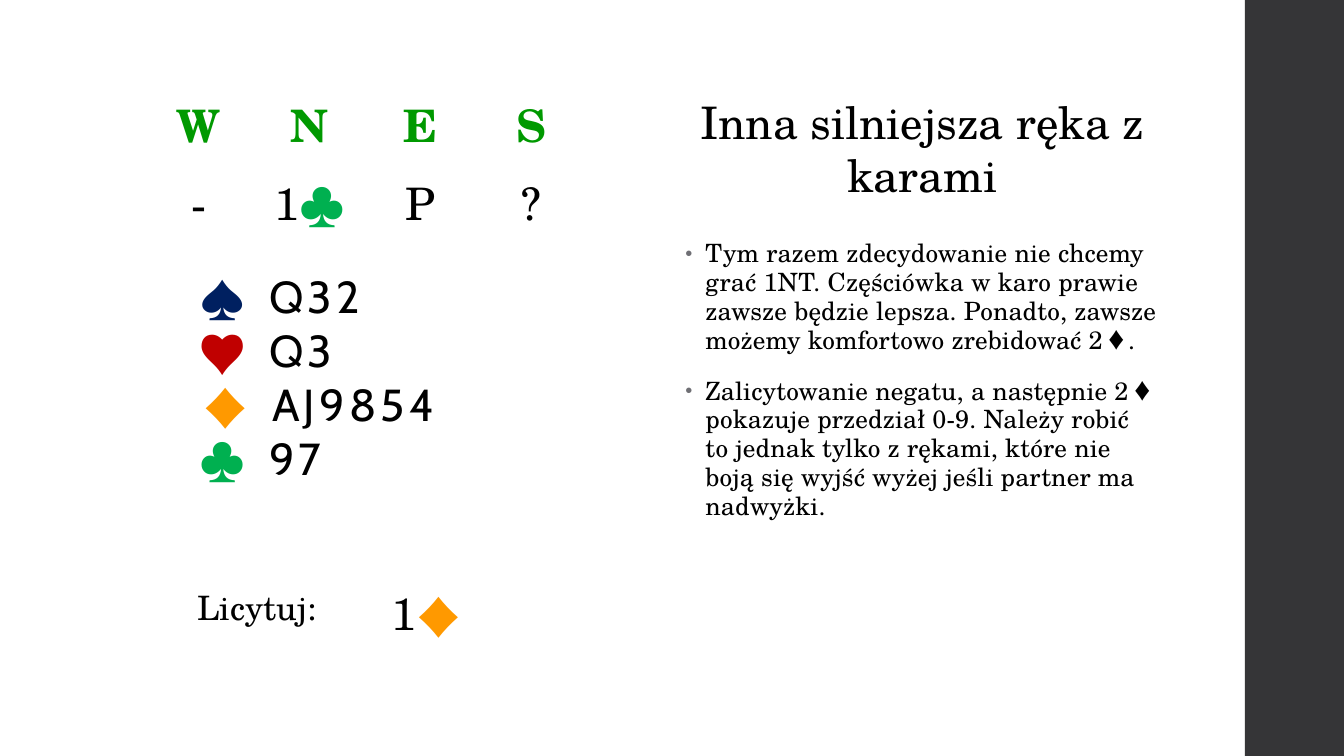
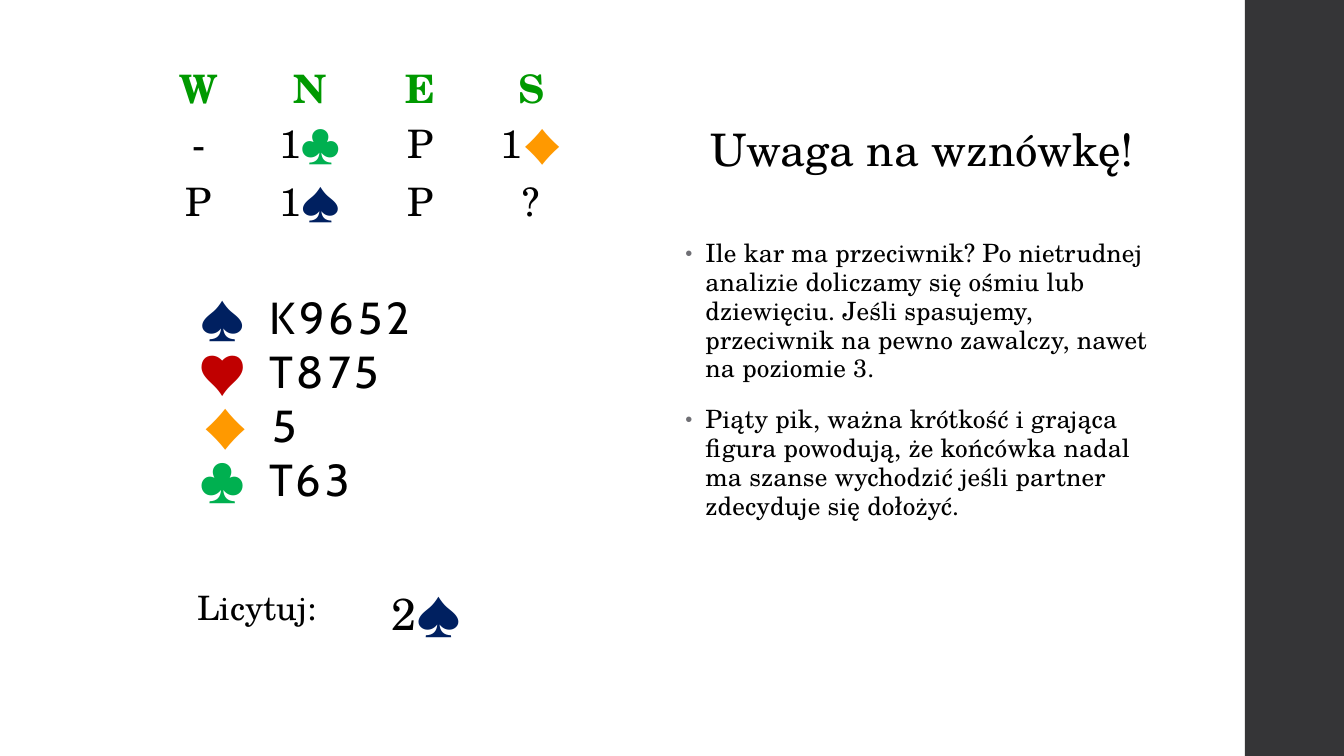
from lxml import etree
from pptx import Presentation
from pptx.dml.color import RGBColor
from pptx.enum.shapes import MSO_SHAPE as Shape
from pptx.enum.text import MSO_ANCHOR as Anchor, PP_ALIGN as Align
from pptx.oxml.ns import qn
from pptx.util import Inches, Pt

WIDTH, HEIGHT = Inches(13.33), Inches(7.5)
SERIF, SANS = "TeX Gyre Schola", "Cabin"
BLACK = RGBColor(0x00, 0x00, 0x00)
RAIL = RGBColor(0x35, 0x35, 0x37)
HEADER = RGBColor(0x00, 0x99, 0x00)
BULLET = RGBColor(0x6F, 0x6F, 0x74)
SUITS = {
    "♠": RGBColor(0x00, 0x20, 0x60),
    "♥": RGBColor(0xC0, 0x00, 0x00),
    "♦": RGBColor(0xFF, 0x99, 0x00),
    "♣": RGBColor(0x00, 0xB0, 0x50),
}
SEATS = ["W", "N", "E", "S"]
TEXT_LEFT, TEXT_WIDTH = 50.25, 36.75
SEAT_WIDTH, ROW_HEIGHT = 8.25, 5.47

PROBLEMS = [
    dict(
        title="Inna silniejsza ręka z karami",
        calls=[["-", "1♣", "P", "?"]],
        call_size=32, auction_top=11.2, hand_top=34.93,
        hand=["Q32", "Q3", "AJ9854", "97"],
        answer="1♦",
        notes=[
            "Tym razem zdecydowanie nie chcemy grać 1NT. Częściówka w karo prawie "
            "zawsze będzie lepsza. Ponadto, zawsze możemy komfortowo zrebidować 2♦.",
            "Zalicytowanie negatu, a następnie 2♦ pokazuje przedział 0-9. Należy "
            "robić to jednak tylko z rękami, które nie boją się wyjść wyżej jeśli "
            "partner ma nadwyżki.",
        ],
    ),
    dict(
        title="Uwaga na wznówkę!",
        calls=[["-", "1♣", "P", "1♦"], ["P", "1♠", "P", "?"]],
        call_size=28, auction_top=6.93, hand_top=37.73,
        hand=["K9652", "T875", "5", "T63"],
        answer="2♠",
        notes=[
            "Ile kar ma przeciwnik? Po nietrudnej analizie doliczamy się ośmiu lub "
            "dziewięciu. Jeśli spasujemy, przeciwnik na pewno zawalczy, nawet na "
            "poziomie 3.",
            "Piąty pik, ważna krótkość i grająca figura powodują, że końcówka nadal "
            "ma szanse wychodzić jeśli partner zdecyduje się dołożyć.",
        ],
    ),
]


def across(percent):
    """Return a percentage of the slide's width."""
    return int(WIDTH * percent / 100)


def down(percent):
    """Return a percentage of the slide's height."""
    return int(HEIGHT * percent / 100)


def area(left, top, width, height):
    """Return a rectangle given in percentages of the slide."""
    return across(left), down(top), across(width), down(height)


def set_font(target, size, name=SERIF, color=BLACK, bold=False):
    """Set the font of a paragraph."""
    font = target.font
    font.size, font.name, font.bold = Pt(size), name, bold
    font.color.rgb = color


def add_run(para, text, spacing=0):
    """Append a run with letter spacing in points."""
    run = para.add_run()
    run.text = text
    if spacing:
        run._r.get_or_add_rPr().set("spc", str(int(spacing * 100)))
    return run


def add_call(para, call):
    """Write a call, giving each suit symbol its own colour."""
    for sign in call:
        if sign in SUITS:
            run = add_run(para, sign, 3)
            run.font.name = SANS
            run.font.color.rgb = SUITS[sign]
        else:
            add_run(para, sign)


def add_rail(page):
    """Draw the dark band at the right edge."""
    rail = page.shapes.add_shape(Shape.RECTANGLE, *area(92.63, 0, 7.37, 100))
    rail.shadow.inherit = False
    rail.fill.solid()
    rail.fill.fore_color.rgb = RAIL
    rail.line.fill.background()


def add_box(page, *place):
    """Add a wrapping text box and return its frame."""
    frame = page.shapes.add_textbox(*area(*place)).text_frame
    frame.word_wrap = True
    return frame


def paragraphs(frame, count):
    """Return the given number of paragraphs of a frame."""
    return [frame.paragraphs[0]] + [frame.add_paragraph() for _ in range(count - 1)]


def add_title(page, title):
    """Add the centred title."""
    frame = add_box(page, TEXT_LEFT, 11.73, TEXT_WIDTH, 15.73)
    frame.vertical_anchor = Anchor.MIDDLE
    para = frame.paragraphs[0]
    para.alignment = Align.CENTER
    set_font(para, 32)
    add_run(para, title)


def add_bullet(para):
    """Give a paragraph a hanging grey bullet."""
    props = para._p.get_or_add_pPr()
    props.set("marL", str(Inches(0.2)))
    props.set("indent", str(-Inches(0.2)))
    color = etree.SubElement(props, qn("a:buClr"))
    etree.SubElement(color, qn("a:srgbClr"), val=str(BULLET))
    etree.SubElement(props, qn("a:buSzPct"), val="80000")
    etree.SubElement(props, qn("a:buFont"), typeface="Arial")
    etree.SubElement(props, qn("a:buChar"), char="•")


def add_notes(page, notes):
    """Add the bulleted commentary."""
    frame = add_box(page, TEXT_LEFT, 31.07, TEXT_WIDTH, 60.13)
    for index, (para, note) in enumerate(zip(paragraphs(frame, len(notes)), notes)):
        add_bullet(para)
        set_font(para, 18)
        para.line_spacing = 0.95
        para.space_before = Pt(14 if index else 0)
        para.space_after = Pt(2)
        add_run(para, note, 0.1)


def add_tabs(para):
    """Set the tab stops for the suit symbol and its cards."""
    stops = etree.SubElement(para._p.get_or_add_pPr(), qn("a:tabLst"))
    for position, side in ((0.5, "r"), (0.7, "l")):
        etree.SubElement(stops, qn("a:tab"), pos=str(Inches(position)), algn=side)


def add_hand(page, top, hand):
    """List the cards held in each suit."""
    frame = add_box(page, 14.03, top, 26.17, 30.13)
    for para, suit, cards in zip(paragraphs(frame, len(SUITS)), SUITS, hand):
        add_tabs(para)
        if suit == "♦":
            para._p.get_or_add_pPr().set("marL", str(Inches(0.03)))
        set_font(para, 32, SANS)
        add_run(para, "\t", 3)
        add_run(para, suit + "\t", 3).font.color.rgb = SUITS[suit]
        add_run(para, cards, 3)


def add_grid(page, left, top, widths, row_count):
    """Add a plain table with the given column widths."""
    place = area(left, top, sum(widths), ROW_HEIGHT * row_count)
    table = page.shapes.add_table(row_count, len(widths), *place).table
    table.first_row = table.horz_banding = False
    for column, width in zip(table.columns, widths):
        column.width = across(width)
    return table


def fill_cell(cell, call, size, color=BLACK, bold=False, align=Align.CENTER):
    """Write a call into a transparent cell."""
    cell.fill.background()
    cell.vertical_anchor = Anchor.MIDDLE
    para = cell.text_frame.paragraphs[0]
    para.alignment = align
    set_font(para, size, color=color, bold=bold)
    add_call(para, call)


def add_auction(page, top, calls, size):
    """Add the bidding under the four seats."""
    rows = [SEATS] + calls
    table = add_grid(page, 10.65, top, [SEAT_WIDTH] * len(SEATS), len(rows))
    for row, texts in enumerate(rows):
        color = BLACK if row else HEADER
        for column, text in enumerate(texts):
            fill_cell(table.cell(row, column), text, size, color, row == 0)


def add_answer(page, answer):
    """Add the recommended call."""
    table = add_grid(page, 9.9, 76, [18.45, 11.85], 1)
    fill_cell(table.cell(0, 0), "Licytuj:", 24)
    fill_cell(table.cell(0, 1), answer, 32, align=Align.LEFT)


def add_problem(deck, problem):
    """Add one bidding problem as a slide."""
    page = deck.slides.add_slide(deck.slide_layouts[6])
    add_rail(page)
    add_auction(page, problem["auction_top"], problem["calls"], problem["call_size"])
    add_notes(page, problem["notes"])
    add_hand(page, problem["hand_top"], problem["hand"])
    add_title(page, problem["title"])
    add_answer(page, problem["answer"])


def main():
    """Build and save the deck."""
    deck = Presentation()
    deck.slide_width, deck.slide_height = WIDTH, HEIGHT
    for problem in PROBLEMS:
        add_problem(deck, problem)
    deck.save("out.pptx")


if __name__ == "__main__":
    main()
